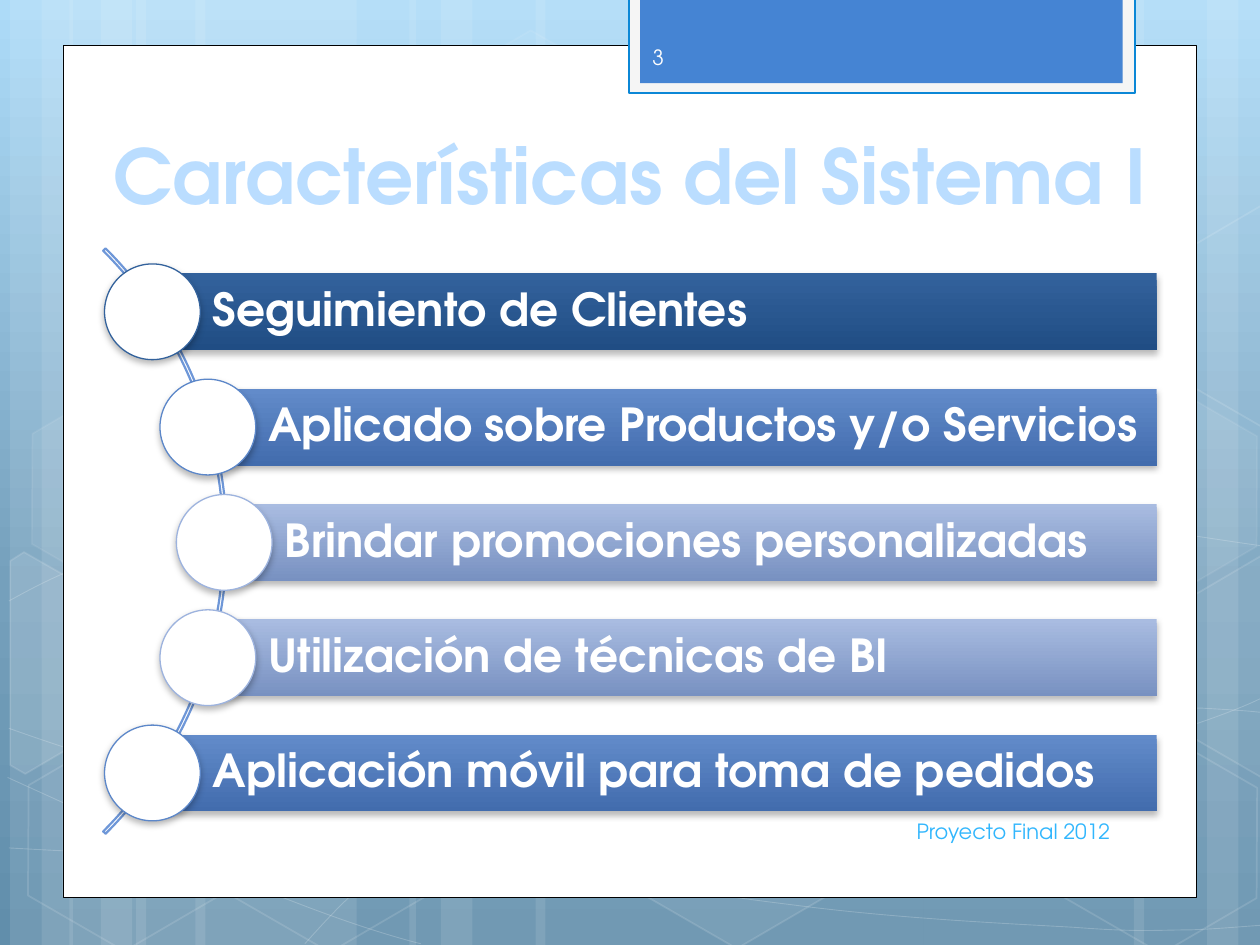
from dataclasses import dataclass
from math import cos, radians, sin
from typing import Optional

from lxml import etree
from pptx import Presentation
from pptx.dml.color import RGBColor
from pptx.enum.shapes import MSO_SHAPE
from pptx.enum.text import MSO_ANCHOR, PP_ALIGN
from pptx.oxml.ns import qn
from pptx.util import Inches, Pt

RECTANGLE, ELLIPSE = MSO_SHAPE.RECTANGLE, MSO_SHAPE.OVAL
HEXAGON, ARC = MSO_SHAPE.HEXAGON, MSO_SHAPE.BLOCK_ARC
LEFT, CENTER, RIGHT = PP_ALIGN.LEFT, PP_ALIGN.CENTER, PP_ALIGN.RIGHT
MIDDLE = MSO_ANCHOR.MIDDLE

# Grid: 10 columns by 7.5 rows of square cells
CELL = Inches(1)
COLUMNS, ROWS = 10, 7.5
FONT = "TeX Gyre Adventor"
TILT = 30

WHITE = RGBColor(0xFF, 0xFF, 0xFF)
BLACK = RGBColor(0x00, 0x00, 0x00)
TAB_FRAME = RGBColor(0xF5, 0xF5, 0xF5)
TAB_EDGE = RGBColor(0x0B, 0x87, 0xD6)
TAB_BLUE = RGBColor(0x45, 0x84, 0xD3)
TITLE_BLUE = RGBColor(0xBA, 0xDD, 0xFF)
ARC_BLUE = RGBColor(0x6E, 0x97, 0xD8)
FOOTER_BLUE = RGBColor(0x31, 0xB6, 0xFD)
NUMBER_WHITE = RGBColor(0xFE, 0xFE, 0xFE)
SKY = [(0, RGBColor(0xAD, 0xDB, 0xF8)), (62, RGBColor(0x75, 0xA0, 0xBC)),
       (100, RGBColor(0x61, 0x8E, 0xAB))]


@dataclass(frozen=True)
class Tone:
    top: RGBColor
    bottom: RGBColor
    ring: RGBColor


@dataclass(frozen=True)
class Feature:
    text: str
    column: float
    tone: Tone


@dataclass(frozen=True)
class Cell:
    """A background hexagon; opacities are percentages."""
    column: float
    row: float
    fill: Optional[int]
    line: int


@dataclass(frozen=True)
class CutCell:
    """A hexagon cut by the slide's edge, tilted about its center."""
    center: tuple
    fill: Optional[int]
    corners: list


DARK = Tone(RGBColor(0x33, 0x62, 0x9C), RGBColor(0x20, 0x4D, 0x84), RGBColor(0x33, 0x62, 0x9C))
MEDIUM = Tone(RGBColor(0x62, 0x8B, 0xCA), RGBColor(0x42, 0x6C, 0xAD), RGBColor(0x5C, 0x87, 0xC9))
LIGHT = Tone(RGBColor(0xA9, 0xBC, 0xE1), RGBColor(0x78, 0x91, 0xC1), RGBColor(0x9D, 0xB3, 0xDE))

FEATURES = [
    Feature("Seguimiento de Clientes", 1.21, DARK),
    Feature("Aplicado sobre Productos y/o Servicios", 1.65, MEDIUM),
    Feature("Brindar promociones personalizadas", 1.78, LIGHT),
    Feature("Utilización de técnicas de BI", 1.65, LIGHT),
    Feature("Aplicación móvil para toma de pedidos", 1.21, MEDIUM),
]
FIRST_ROW, LAST_ROW, BAR_HEIGHT, BAR_END, CIRCLE = 2.17, 5.83, 0.61, 9.18, 0.76
ROW_STEP = (LAST_ROW - FIRST_ROW) / (len(FEATURES) - 1)

# Vertical strips: column and width
STRIPS = [(1.08, 1.75), (0.08, 0.5), (0.33, 0.83), (1.55, 1.75), (0.55, 0.5), (0.8, 0.83),
          (7.33, 1.75), (9.58, 0.5), (9, 0.83), (4.25, 3.08), (3.25, 0.5), (3.5, 0.83)]

# Curves: a start point, then two control points and an end point per piece
CURVES = [
    [(0.07, 6.73), (0.61, 6.76), (1.15, 6.79), (1.9, 6.78), (2.65, 6.77), (3.58, 6.75),
     (4.58, 6.65), (5.58, 6.55), (7, 6.36), (7.92, 6.17), (8.83, 5.98), (9.77, 5.68),
     (10.07, 5.51)],
    [(0.07, 4.77), (0.36, 4.61), (0.65, 4.46), (1.21, 4.31), (1.78, 4.16), (2.59, 3.94),
     (3.47, 3.87), (4.36, 3.8), (5.44, 3.79), (6.54, 3.87), (7.64, 3.95), (9.47, 4.26),
     (10.07, 4.34)],
    [(0.06, 6.17), (1.27, 6.72), (2.47, 7.27), (3.34, 7.49)],
    [(0.07, 5.78), (0.38, 5.89), (0.7, 6), (1.28, 6.16), (1.86, 6.31), (2.73, 6.56),
     (3.57, 6.73), (4.4, 6.9), (5.45, 7.08), (6.28, 7.18), (7.11, 7.29), (8, 7.33),
     (8.53, 7.36), (9.05, 7.4), (9.19, 7.38), (9.45, 7.38), (9.71, 7.37), (9.89, 7.35),
     (10.07, 7.34)],
    [(2.42, 7.49), (2.6, 7.29), (2.78, 7.09), (3.02, 6.91), (3.26, 6.73), (3.6, 6.53),
     (3.88, 6.39), (4.16, 6.25), (4.33, 6.19), (4.7, 6.09), (5.06, 5.99), (5.73, 5.85),
     (6.08, 5.78), (6.44, 5.71), (6.49, 5.71), (6.8, 5.69), (7.11, 5.66), (7.6, 5.63),
     (7.94, 5.62), (8.29, 5.61), (8.86, 5.62), (8.86, 5.62), (9.08, 5.62), (9.31, 5.62),
     (9.53, 5.62), (9.71, 5.63), (9.88, 5.64), (9.97, 5.65), (10.06, 5.66), (10.03, 5.65),
     (10.06, 5.66)],
]

HEXAGONS = [
    Cell(3.34, 0.36, 4, 8), Cell(4.97, 5.89, 6, 12), Cell(0.11, 5.91, None, 12),
    Cell(0.14, 3.12, 7, 8), Cell(1.74, 5.92, None, 12), Cell(7.53, 4.53, 10, 12),
    Cell(8.34, 5.93, None, 12), Cell(8.34, 3.14, 7, 8),
]
CUT_HEXAGONS = [
    CutCell((0.36, 5.35), 10, [(0.08, 4.45), (0.19, 4.38), (0.96, 4.82), (0.95, 5.7),
                               (0.2, 6.14), (0.08, 6.07)]),
    CutCell((9.85, 5.2), 4, [(9.26, 4.85), (10.01, 4.41), (10.09, 4.46), (10.09, 6.13),
                             (10.02, 6.17), (9.26, 5.73)]),
    CutCell((9.85, 2.41), None, [(9.26, 2.07), (10.01, 1.63), (10.1, 1.68), (10.09, 3.35),
                                 (10.02, 3.39), (9.26, 2.95)]),
]


def cells(*lengths: float) -> list[int]:
    return [round(length * CELL) for length in lengths]


def set_opacity(shape, color_location: str, percent: int) -> None:
    color = shape._element.spPr.find("/".join(qn(tag) for tag in color_location.split("/")))
    etree.SubElement(color, qn("a:alpha"), val=str(percent * 1000))


def style(shape, fill=None, line=None, width=0.5, fill_opacity=100, line_opacity=100) -> None:
    shape.shadow.inherit = False
    if fill is None:
        shape.fill.background()
    else:
        shape.fill.solid()
        shape.fill.fore_color.rgb = fill
        set_opacity(shape, "a:solidFill/a:srgbClr", fill_opacity)
    if line is None:
        shape.line.fill.background()
    else:
        shape.line.color.rgb = line
        shape.line.width = Pt(width)
        set_opacity(shape, "a:ln/a:solidFill/a:srgbClr", line_opacity)


def add_block(slide, kind, box: tuple, **look):
    shape = slide.shapes.add_shape(kind, *cells(*box))
    style(shape, **look)
    return shape


def add_outline(slide, points: list, closed: bool, **look):
    corners = [cells(*point) for point in points]
    builder = slide.shapes.build_freeform(*corners[0])
    builder.add_line_segments(corners[1:], close=closed)
    shape = builder.convert_to_shape()
    style(shape, line=WHITE, **look)
    return shape


def add_curve(slide, knots: list) -> None:
    """Join every three line segments into one cubic Bézier piece."""
    shape = add_outline(slide, knots, False, line_opacity=20)
    segments = list(shape._element.iter(qn("a:lnTo")))
    for first in range(0, len(segments), 3):
        segments[first].tag = qn("a:cubicBezTo")
        for segment in segments[first + 1:first + 3]:
            segments[first].append(segment[0])
            segment.getparent().remove(segment)


def add_cut_hexagon(slide, cell: CutCell) -> None:
    cosine, sine = cos(radians(TILT)), sin(radians(TILT))
    center_x, center_y = cell.center
    offsets = [(x - center_x, y - center_y) for x, y in cell.corners]
    upright = [(center_x + x * cosine + y * sine, center_y - x * sine + y * cosine)
               for x, y in offsets]
    shape = add_outline(slide, upright, True, fill=WHITE if cell.fill else None,
                        fill_opacity=cell.fill, width=1, line_opacity=12)
    shape.rotation = TILT


def fill_downwards(fill, owner, stops: list) -> None:
    fill.gradient()
    fill.gradient_angle = 270
    stop_list = next(owner.iter(qn("a:gsLst")))
    stop_list.clear()
    for position, color in stops:
        stop = etree.SubElement(stop_list, qn("a:gs"), pos=str(position * 1000))
        etree.SubElement(stop, qn("a:srgbClr"), val=str(color))


def cast_shadow(shape) -> None:
    effects = shape._element.spPr.find(qn("a:effectLst"))
    shadow = etree.SubElement(effects, qn("a:outerShdw"), blurRad=str(Pt(4)), dist=str(Pt(2)),
                              dir="5400000", algn="ctr", rotWithShape="0")
    color = etree.SubElement(shadow, qn("a:srgbClr"), val=str(BLACK))
    etree.SubElement(color, qn("a:alpha"), val="28000")


def write(shape, text: str, size: float, color: RGBColor, align=LEFT, bold=False):
    frame = shape.text_frame
    frame.word_wrap = True
    frame.vertical_anchor = MIDDLE
    paragraph = frame.paragraphs[0]
    paragraph.text = text
    paragraph.alignment = align
    font = paragraph.font
    font.name, font.size, font.bold, font.color.rgb = FONT, Pt(size), bold, color
    return frame


def add_feature(slide, feature: Feature, row: float) -> None:
    bar = add_block(slide, RECTANGLE, (feature.column, row, BAR_END - feature.column, BAR_HEIGHT))
    fill_downwards(bar.fill, bar._element, [(0, feature.tone.top), (100, feature.tone.bottom)])
    cast_shadow(bar)
    frame = write(bar, feature.text, 26, WHITE, bold=True)
    frame.paragraphs[0].line_spacing = 0.9
    frame.margin_left, frame.margin_top, frame.margin_right, frame.margin_bottom = cells(
        0.48, 0.07, 0.07, 0.07)
    circle_box = (feature.column - CIRCLE / 2, row + (BAR_HEIGHT - CIRCLE) / 2, CIRCLE, CIRCLE)
    cast_shadow(add_block(slide, ELLIPSE, circle_box, fill=WHITE, line=feature.tone.ring, width=0.75))


def main() -> None:
    presentation = Presentation()
    presentation.slide_width, presentation.slide_height = cells(COLUMNS, ROWS)
    slide = presentation.slides.add_slide(presentation.slide_layouts[6])

    # Background
    fill_downwards(slide.background.fill, slide.element, SKY)
    for column, width in STRIPS:
        add_block(slide, RECTANGLE, (column, 0, width, ROWS), fill=WHITE, fill_opacity=10)
    for knots in CURVES:
        add_curve(slide, knots)
    for cell in HEXAGONS:
        hexagon = add_block(slide, HEXAGON, (cell.column, cell.row, 1.75, 1.52),
                            fill=WHITE if cell.fill else None, fill_opacity=cell.fill,
                            line=WHITE, width=1, line_opacity=cell.line)
        hexagon.adjustments[0] = 0.285
        hexagon.rotation = TILT
    for cell in CUT_HEXAGONS:
        add_cut_hexagon(slide, cell)

    # Page and tab
    add_block(slide, RECTANGLE, (0.5, 0.36, 9, 6.76), fill=WHITE, line=BLACK)
    add_block(slide, RECTANGLE, (4.99, -0.02, 4.02, 0.76), fill=TAB_FRAME, line=TAB_EDGE, width=1.25)
    add_block(slide, RECTANGLE, (5.08, -0.02, 3.83, 0.68), fill=TAB_BLUE)

    # Features along the arc
    arc = add_block(slide, ARC, (-4.77, 1.01, 6.57, 6.57), line=ARC_BLUE, width=1.25)
    for index, value in enumerate((189, 27, 0.004)):
        arc.adjustments[index] = value
    for index, feature in enumerate(FEATURES):
        add_feature(slide, feature, FIRST_ROW + index * ROW_STEP)

    # Title, footer and slide number
    for box, *text in (
        ((0.51, 0.76, 8.98, 1.25), "Características del Sistema I", 43.2, TITLE_BLUE, CENTER, True),
        ((5.08, 6.4, 3.83, 0.4), "Proyecto Final 2012", 12, FOOTER_BLUE, RIGHT),
        ((5.08, 0.25, 1.46, 0.4), "3", 12, NUMBER_WHITE),
    ):
        write(slide.shapes.add_textbox(*cells(*box)), *text)

    presentation.save("out.pptx")


if __name__ == "__main__":
    main()
